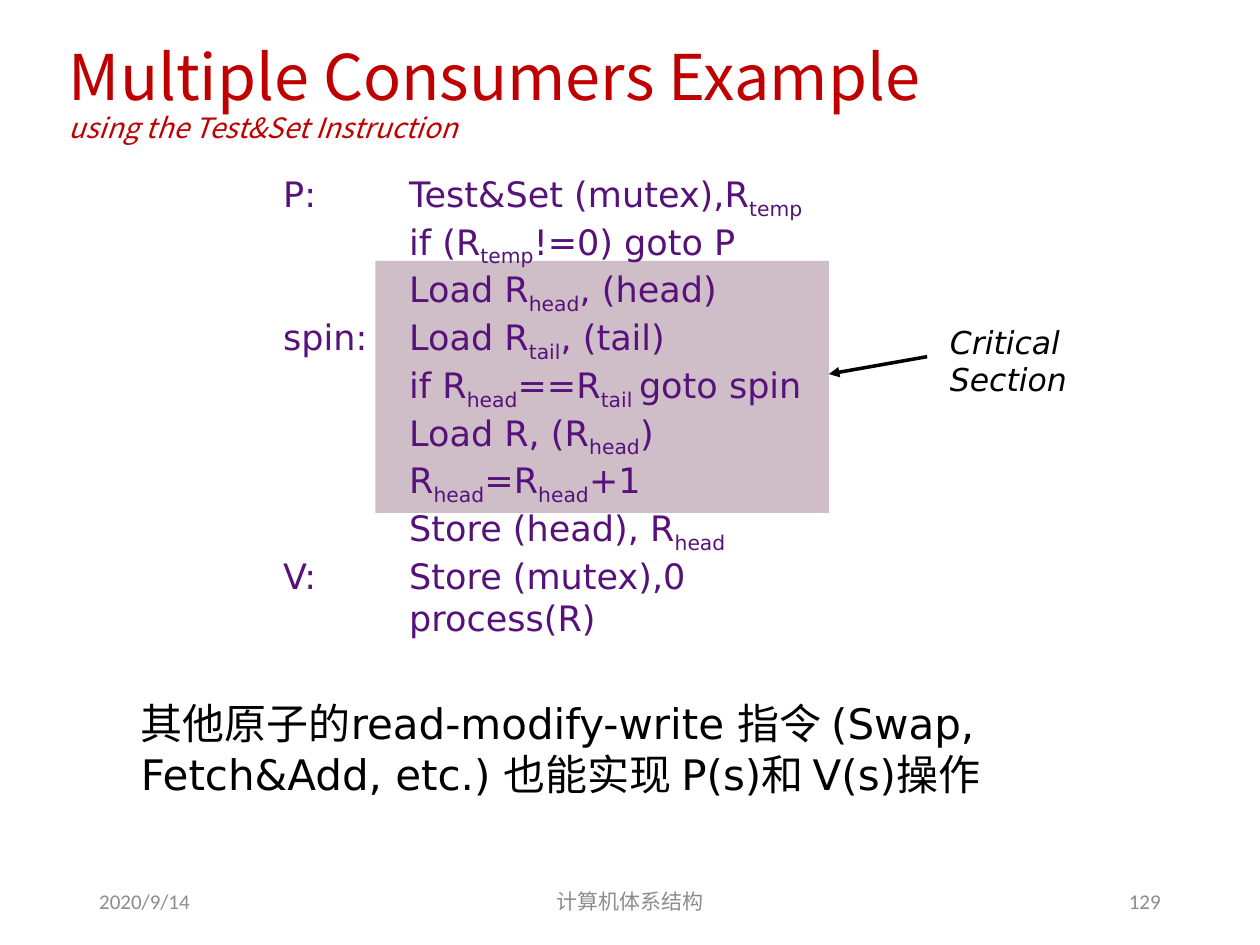
import pptx
import pptx.util
import pptx.dml.color
import pptx.enum.shapes
import pptx.enum.text
import pptx.oxml
import pptx.oxml.ns

Cm = pptx.util.Cm
Pt = pptx.util.Pt
RGB = pptx.dml.color.RGBColor
ALIGN = pptx.enum.text.PP_ALIGN
ANCHOR = pptx.enum.text.MSO_ANCHOR
qn = pptx.oxml.ns.qn

RED = RGB(0xC0, 0x00, 0x00)
PURPLE = RGB(0x56, 0x12, 0x7A)
MAUVE = RGB(0xCF, 0xBD, 0xC8)
BLACK = RGB(0x00, 0x00, 0x00)
GREY = RGB(0x8C, 0x8C, 0x8C)
SANS = "DejaVu Sans"
CJK = "Noto Sans CJK SC"

deck = pptx.Presentation()
deck.slide_width = Cm(25.4)
deck.slide_height = Cm(19.05)
slide = deck.slides.add_slide(deck.slide_layouts[6])


def add_box(left, top, width, height, wrap=True, anchor=ANCHOR.TOP):
    box = slide.shapes.add_textbox(Cm(left), Cm(top), Cm(width), Cm(height))
    frame = box.text_frame
    frame.word_wrap = wrap
    frame.vertical_anchor = anchor
    return frame


def add_run(para, text, size, face, color, slant=False):
    run = para.add_run()
    run.text = text
    font = run.font
    font.size = Pt(size)
    font.name = face
    font.italic = slant
    font.color.rgb = color
    props = run._r.get_or_add_rPr()
    east = props.makeelement(qn("a:ea"), {"typeface": CJK})
    props.find(qn("a:latin")).addnext(east)
    return props


# Title and subtitle
para = add_box(1.14, 0.81, 19.89, 2.24, anchor=ANCHOR.MIDDLE).paragraphs[0]
para.line_spacing = 0.9
add_run(para, "Multiple Consumers Example", 36, CJK, RED)
para.add_line_break()
add_run(para, "using the Test&Set Instruction", 16, CJK, RED, True)

# Critical section: block, label and arrow
block = slide.shapes.add_shape(
    pptx.enum.shapes.MSO_SHAPE.RECTANGLE, Cm(7.57), Cm(5.26), Cm(9.14), Cm(5.08))
block.shadow.inherit = False
block.fill.solid()
block.fill.fore_color.rgb = MAUVE
block.line.fill.background()

label = add_box(18.9, 6.38, 2.87, 1.78, wrap=False)
for i, word in enumerate(["Critical", "Section"]):
    para = label.add_paragraph() if i else label.paragraphs[0]
    add_run(para, word, 18, SANS, BLACK, True)

arrow = slide.shapes.add_connector(
    pptx.enum.shapes.MSO_CONNECTOR.STRAIGHT, Cm(18.69), Cm(7.19), Cm(16.71), Cm(7.54))
arrow.line.color.rgb = BLACK
arrow.line.width = Pt(2)
line = arrow.line._get_or_add_ln()
line.append(line.makeelement(qn("a:tailEnd"), {"type": "triangle"}))
line.addnext(line.makeelement(qn("a:effectLst"), {}))

# Code: each name between underscores is a subscript
STEPS = [
    "P:\tTest&Set (mutex),R_temp_",
    "\tif (R_temp_!=0) goto P",
    "\tLoad R_head_, (head)",
    "spin:\tLoad R_tail_, (tail)",
    "\tif R_head_==R_tail _goto spin",
    "\tLoad R, (R_head_)",
    "\tR_head_=R_head_+1",
    "\tStore (head), R_head_",
    "V:\tStore (mutex),0",
    "\tprocess(R)",
]
code = add_box(5.46, 3.35, 11.3, 8.71, wrap=False)
for i, step in enumerate(STEPS):
    para = code.add_paragraph() if i else code.paragraphs[0]
    tabs = pptx.oxml.parse_xml(
        '<a:tabLst xmlns:a="http://schemas.openxmlformats.org/drawingml/2006/main">'
        f'<a:tab pos="{Cm(2.54)}" algn="l"/></a:tabLst>')
    para._p.get_or_add_pPr().append(tabs)
    for j, part in enumerate(step.split("_")):
        if part:
            props = add_run(para, part, 20, SANS, PURPLE)
            if j % 2:
                props.set("baseline", "-25000")

# Remark
para = add_box(2.59, 13.94, 21.06, 2.31).paragraphs[0]
add_run(para, "其他原子的read-modify-write 指令 (Swap, Fetch&Add, etc.) "
        "也能实现 P(s)和 V(s)操作", 24, SANS, BLACK)

# Footer
for left, width, text, align in [
    (1.75, 5.72, "2020/9/14", ALIGN.LEFT),
    (8.41, 8.58, "计算机体系结构", ALIGN.CENTER),
    (17.93, 5.72, "129", ALIGN.RIGHT),
]:
    para = add_box(left, 17.65, width, 1.02, anchor=ANCHOR.MIDDLE).paragraphs[0]
    para.alignment = align
    add_run(para, text, 12, "Calibri", GREY)

deck.save("out.pptx")
